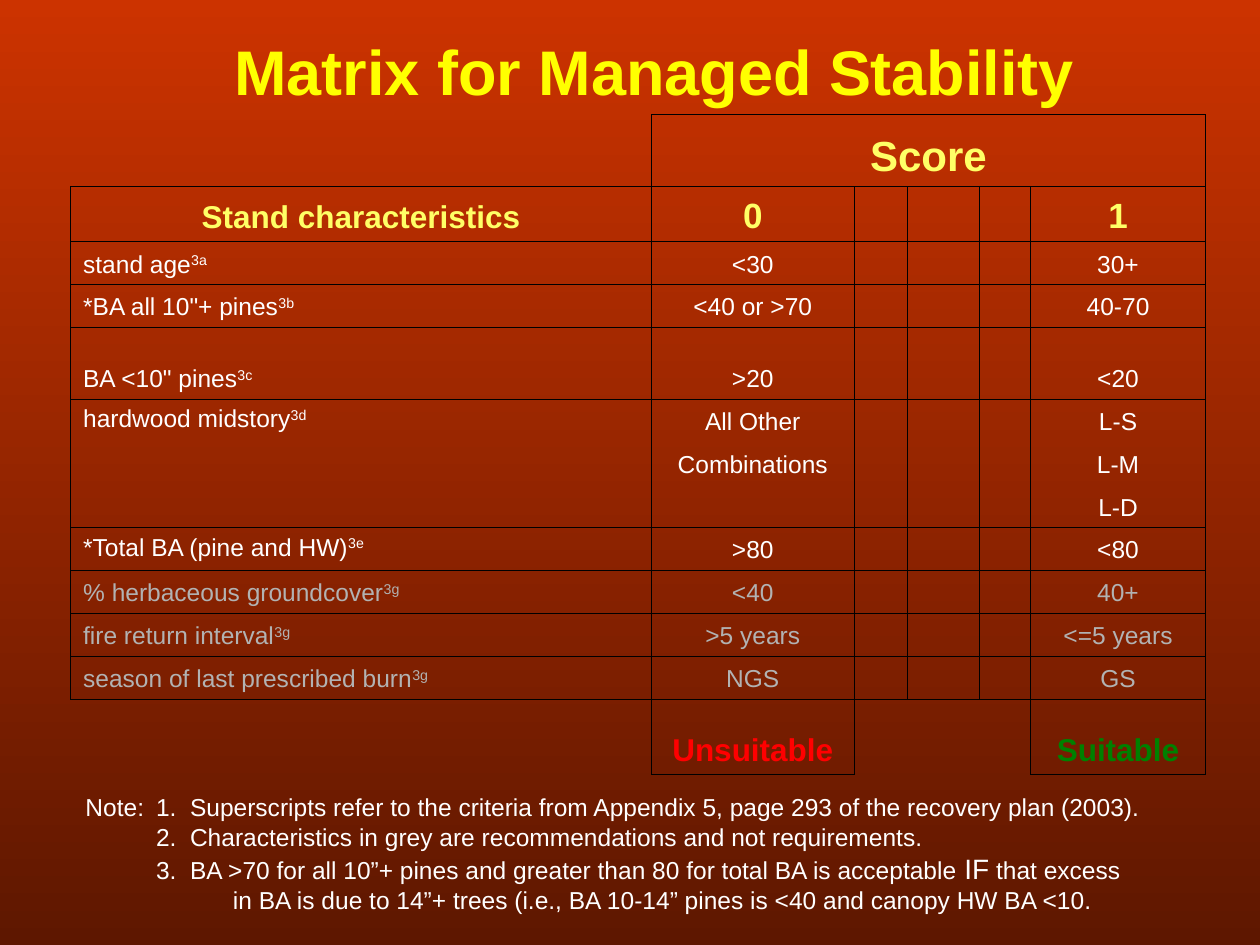
from lxml.etree import SubElement
from pptx import Presentation
from pptx.dml.color import RGBColor
from pptx.enum.text import MSO_ANCHOR, MSO_AUTO_SIZE, PP_ALIGN
from pptx.oxml.ns import qn
from pptx.util import Inches, Pt

FONT = "Arial"
TOP_RED = RGBColor(0xCC, 0x33, 0x00)
BOTTOM_RED = RGBColor(0x5E, 0x17, 0x00)
YELLOW = RGBColor(0xFF, 0xFF, 0x00)
PALE_YELLOW = RGBColor(0xFF, 0xFF, 0x66)
WHITE = RGBColor(0xFF, 0xFF, 0xFF)
GREY = RGBColor(0xB2, 0xB2, 0xB2)
RED = RGBColor(0xFF, 0x00, 0x00)
GREEN = RGBColor(0x00, 0x80, 0x00)

TITLE = "Matrix for Managed Stability"
# label, superscript, score 0, score 1
CRITERIA = [
    ("stand age", "3a", "<30", "30+"),
    ('*BA all 10"+ pines', "3b", "<40 or >70", "40-70"),
    ('BA <10" pines', "3c", ">20", "<20"),
    ("hardwood midstory", "3d", "All Other", "L-S"),
    ("", "", "Combinations", "L-M"),
    ("", "", "", "L-D"),
    ("*Total BA (pine and HW)", "3e", ">80", "<80"),
    ("% herbaceous groundcover", "3g", "<40", "40+"),
    ("fire return interval", "3g", ">5 years", "<=5 years"),
    ("season of last prescribed burn", "3g", "NGS", "GS"),
]
NOTES = [
    [("Note:\t1.\tSuperscripts refer to the criteria from Appendix 5, "
      "page 293 of the recovery plan (2003).", 14)],
    [("\t2.\tCharacteristics in grey are recommendations and not requirements.", 14)],
    [("\t3.\tBA >70 for all 10”+ pines and greater than 80 for total BA is acceptable ", 14),
     ("IF", 16), (" that excess", 14)],
    [("\t\t\tin BA is due to 14”+ trees (i.e., BA 10-14” pines is <40 "
      "and canopy HW BA <10.", 14)],
]
NOTE_TABS = [0.56, 0.83, 1.17]

COLUMNS = [4.61, 1.61, 0.42, 0.57, 0.41, 1.39]
ROWS = [0.57, 0.44, 0.34, 0.34, 0.57] + [0.34] * 7 + [0.6]
LAST_ROW = len(ROWS) - 1
FIRST_CRITERION = 2
FIRST_GREY = 9
JOINED_ROWS = (5, 6)      # no line below: these rows run on as one
TOP_LABELS = (5, 8)       # labels that sit at the top of their cell
NO_STYLE = "{2D5ABB26-0587-4C30-8999-92F81FD0307C}"


def edges(row, col):
    """Return the sides of a cell that carry a line."""
    if (row, col) == (0, 0):
        return "RB"
    if row == LAST_ROW and col in (0, 2, 3, 4):
        return {0: "TR", 2: "LT", 3: "T", 4: "TR"}[col]
    sides = "LR"
    if row - 1 not in JOINED_ROWS:
        sides += "T"
    if row not in JOINED_ROWS:
        sides += "B"
    return sides


def draw_borders(cell, sides):
    tcPr = cell._tc.get_or_add_tcPr()
    for side in "LRTB":
        ln = SubElement(tcPr, qn(f"a:ln{side}"), w=str(Pt(0.45)))
        if side in sides:
            fill = SubElement(ln, qn("a:solidFill"))
            SubElement(fill, qn("a:srgbClr"), val="000000")
        else:
            SubElement(ln, qn("a:noFill"))


def set_font(font, size, color, bold=False):
    font.name, font.size, font.bold = FONT, Pt(size), bold
    font.color.rgb = color


def fill_cell(cell, text, size, color, bold=False, centred=True, superscript=""):
    p = cell.text_frame.paragraphs[0]
    p.alignment = PP_ALIGN.CENTER if centred else PP_ALIGN.LEFT
    cell.vertical_anchor = MSO_ANCHOR.BOTTOM
    set_font(p.font, size, color, bold)
    p.add_run().text = text
    if superscript:
        r = p.add_run()
        r.text = superscript
        r.font._element.set("baseline", "30000")


def add_matrix(slide):
    table = slide.shapes.add_table(
        len(ROWS), len(COLUMNS), Inches(0.56), Inches(0.91),
        Inches(sum(COLUMNS)), Inches(sum(ROWS))).table
    table.first_row = table.horz_banding = False
    table._tbl.tblPr.find(qn("a:tableStyleId")).text = NO_STYLE
    for column, width in zip(table.columns, COLUMNS):
        column.width = Inches(width)
    for row, height in zip(table.rows, ROWS):
        row.height = Inches(height)
    for i in range(len(ROWS)):
        for j in range(len(COLUMNS)):
            cell = table.cell(i, j)
            draw_borders(cell, edges(i, j))
            cell.fill.background()
            # keeps empty cells from stretching their row
            cell.text_frame.paragraphs[0]._p.get_or_add_endParaRPr().set("sz", "1400")
    table.cell(0, 1).merge(table.cell(0, 5))
    table.cell(LAST_ROW, 2).merge(table.cell(LAST_ROW, 3))

    fill_cell(table.cell(0, 1), "Score", 24, PALE_YELLOW, True)
    fill_cell(table.cell(1, 0), "Stand characteristics", 18, PALE_YELLOW, True)
    fill_cell(table.cell(1, 1), "0", 20, PALE_YELLOW, True)
    fill_cell(table.cell(1, 5), "1", 20, PALE_YELLOW, True)
    for i, (label, mark, low, high) in enumerate(CRITERIA, FIRST_CRITERION):
        color = GREY if i >= FIRST_GREY else WHITE
        if label:
            fill_cell(table.cell(i, 0), label, 14, color, centred=False, superscript=mark)
        for j, score in ((1, low), (5, high)):
            if score:
                fill_cell(table.cell(i, j), score, 14, color)
    for i in TOP_LABELS:
        table.cell(i, 0).vertical_anchor = MSO_ANCHOR.TOP
    fill_cell(table.cell(LAST_ROW, 1), "Unsuitable", 18, RED, True)
    fill_cell(table.cell(LAST_ROW, 5), "Suitable", 18, GREEN, True)


def add_notes(slide):
    tf = slide.shapes.add_textbox(Inches(0.58), Inches(6.24), Inches(8.99), Inches(1.07)).text_frame
    tf.word_wrap = True
    for i, runs in enumerate(NOTES):
        p = tf.paragraphs[0] if i == 0 else tf.add_paragraph()
        tabs = SubElement(p._p.get_or_add_pPr(), qn("a:tabLst"))
        for stop in NOTE_TABS:
            SubElement(tabs, qn("a:tab"), pos=str(Inches(stop)), algn="l")
        for text, size in runs:
            r = p.add_run()
            r.text = text
            set_font(r.font, size, WHITE)


def add_title(slide):
    title = slide.shapes.title
    title.left, title.top = Inches(1.76), Inches(0.21)
    title.width, title.height = Inches(6.87), Inches(0.7)
    tf = title.text_frame
    tf.text = TITLE
    tf.word_wrap = False
    tf.auto_size = MSO_AUTO_SIZE.SHAPE_TO_FIT_TEXT
    p = tf.paragraphs[0]
    p.alignment = PP_ALIGN.CENTER
    set_font(p.font, 36, YELLOW, True)


def main():
    prs = Presentation()
    prs.slide_width, prs.slide_height = Inches(10), Inches(7.5)
    slide = prs.slides.add_slide(prs.slide_layouts[5])
    fill = slide.background.fill
    fill.gradient()
    fill.gradient_angle = 270
    for stop, position, color in zip(fill.gradient_stops, (0, 1), (TOP_RED, BOTTOM_RED)):
        stop.position = position
        stop.color.rgb = color
    add_title(slide)
    add_matrix(slide)
    add_notes(slide)
    prs.save("out.pptx")


if __name__ == "__main__":
    main()
